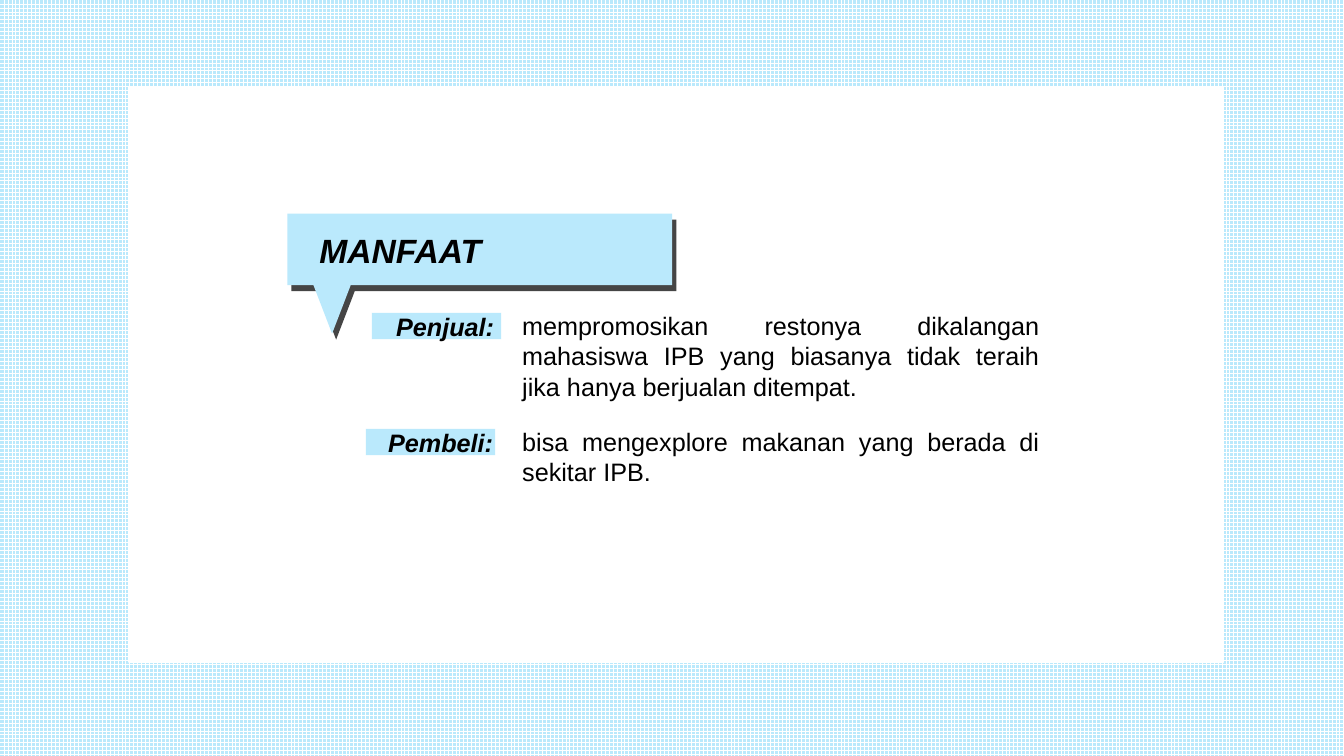
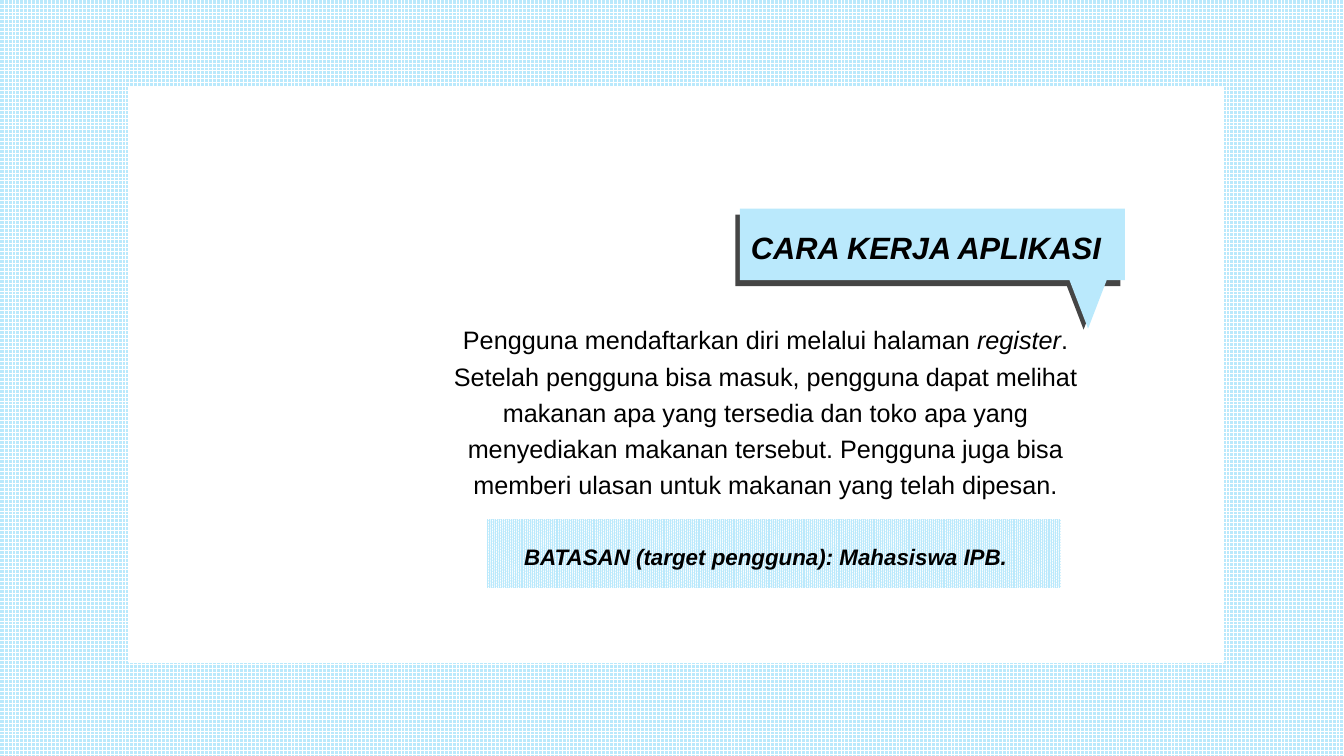
from lxml import etree
from pptx import Presentation
from pptx.dml.color import RGBColor
from pptx.enum import dml, shapes, text
from pptx.oxml import ns
from pptx.util import Pt

SKY = RGBColor(0xBA, 0xE9, 0xFC)
WHITE = RGBColor(0xFF, 0xFF, 0xFF)
CHARCOAL = RGBColor(0x45, 0x45, 0x45)
BLACK = RGBColor(0, 0, 0)
FONT = "Arial"
RECT = shapes.MSO_SHAPE.RECTANGLE
TRIANGLE = shapes.MSO_SHAPE.ISOSCELES_TRIANGLE
ALIGN = text.PP_ALIGN
ANCHOR = text.MSO_ANCHOR

BANNER_SIZE = (275, 51.1)
TAIL_SIZE = (26.6, 34.6)
SHADOW_DROP = 4.3


def set_pattern(fill, pattern, fore, back):
    fill.patterned()
    fill.pattern = pattern
    fill.fore_color.rgb = fore
    fill.back_color.rgb = back


class Deck:
    """Holds the shared style and the slide being built."""

    def __init__(self):
        self.prs = Presentation()
        self.prs.slide_width, self.prs.slide_height = Pt(960), Pt(540)
        set_pattern(self.prs.slide_master.background.fill,
                    dml.MSO_PATTERN.LARGE_GRID, WHITE, SKY)
        self.slide = None

    def new_slide(self, layout_index):
        self.slide = self.prs.slides.add_slide(self.prs.slide_layouts[layout_index])
        panel = self.block(self.slide.shapes, RECT, (92, 62, 782, 411), WHITE)
        panel.line.color.rgb = WHITE
        panel.line.width = Pt(1.25)

    def block(self, parent, preset, box, color):
        shape = parent.add_shape(preset, *map(Pt, box))
        shape.shadow.inherit = False
        shape.fill.solid()
        shape.fill.fore_color.rgb = color
        shape.line.fill.background()
        return shape

    def bubble(self, banner, tail, color):
        """Group a banner and its downward tail, given their top left corners."""
        parts = self.slide.shapes.add_group_shape().shapes
        self.block(parts, RECT, (*banner, *BANNER_SIZE), color)
        self.block(parts, TRIANGLE, (*tail, *TAIL_SIZE), color).rotation = 180

    def callout(self, left, top, tail_shift, shadow_shift, tail_drop=SHADOW_DROP):
        tail_left, tail_top = left + tail_shift, top + BANNER_SIZE[1]
        self.bubble((left + shadow_shift, top + SHADOW_DROP),
                    (tail_left + shadow_shift, tail_top + tail_drop), CHARCOAL)
        self.bubble((left, top), (tail_left, tail_top), SKY)

    def set_text(self, shape, runs, size, align=ALIGN.LEFT, anchor=ANCHOR.TOP,
                 bold=False, spacing=1, before=0, insets=(7.2, 3.6, 7.2, 3.6)):
        """Fill a shape with one paragraph of (wording, italic) runs."""
        frame = shape.text_frame
        frame.word_wrap = True
        frame.auto_size = text.MSO_AUTO_SIZE.NONE
        frame.vertical_anchor = anchor
        (frame.margin_left, frame.margin_top,
         frame.margin_right, frame.margin_bottom) = map(Pt, insets)
        paragraph = frame.paragraphs[0]
        paragraph.alignment = align
        paragraph.line_spacing = spacing
        paragraph.space_before = Pt(before)
        for wording, italic in runs:
            run = paragraph.add_run()
            run.text = wording
            font = run.font
            font.name, font.size = FONT, Pt(size)
            font.bold, font.italic = bold, italic
            font.color.rgb = BLACK
        return paragraph

    def place(self, placeholder, box):
        """Position a placeholder and bring it in front of the panel."""
        (placeholder.left, placeholder.top,
         placeholder.width, placeholder.height) = map(Pt, box)
        self.slide.shapes.element.append(placeholder.element)
        return placeholder

    def title(self, wording, box, size):
        self.set_text(self.place(self.slide.shapes.title, box),
                      [(wording, True)], size, bold=True)

    def body(self, index, runs, box, **style):
        placeholder = self.place(self.slide.placeholders[index], box)
        paragraph = self.set_text(placeholder, runs, 18, **style)
        properties = paragraph._p.get_or_add_pPr()
        properties.set("marL", "0")
        properties.set("indent", "0")
        etree.SubElement(properties, ns.qn("a:buNone"))

    def label(self, wording, left, top, indent):
        tag = self.block(self.slide.shapes, RECT, (left, top, 92.2, 18.7), SKY)
        self.set_text(tag, [(wording, True)], 18, anchor=ANCHOR.MIDDLE, bold=True,
                      insets=(indent, 0, 0, 0))

    def note_bar(self, wording, box):
        bar = self.block(self.slide.shapes, RECT, box, SKY)
        set_pattern(bar.fill, dml.MSO_PATTERN.PERCENT_90, SKY, WHITE)
        bar.line.color.rgb = WHITE
        bar.line.width = Pt(2)
        self.set_text(bar, [(wording, True)], 16, anchor=ANCHOR.MIDDLE, bold=True,
                      spacing=1.2, before=10, insets=(27.4, 3.6, 7.2, 3.6))


def build_benefits(deck):
    deck.new_slide(3)
    deck.callout(205.2, 152.6, tail_shift=18.7, shadow_shift=2.9)
    deck.title("MANFAAT", (221, 160.6, 242.6, 36), 24)
    benefits = [
        ("Penjual:", 265.7, 17.3, 218.2, 72.7,
         "mempromosikan restonya dikalangan mahasiswa IPB yang biasanya "
         "tidak teraih jika hanya berjualan ditempat."),
        ("Pembeli:", 261.4, 15.8, 301, 51.1,
         "bisa mengexplore makanan yang berada di sekitar IPB."),
    ]
    for index, (who, left, indent, top, height, benefit) in enumerate(benefits, 1):
        deck.body(index, [(benefit, False)], (365.8, top, 383.8, height),
                  align=ALIGN.JUSTIFY)
        deck.label(who, left, top + 5.4, indent)


def build_workflow(deck):
    deck.new_slide(1)
    deck.callout(528.5, 149, tail_shift=235.4, shadow_shift=-3.2, tail_drop=0.7)
    deck.title("CARA KERJA APLIKASI", (529.2, 159.8, 277.2, 33.8), 22)
    deck.body(1, [
        ("Pengguna mendaftarkan diri melalui halaman ", False),
        ("register", True),
        (". Setelah pengguna bisa masuk, pengguna dapat melihat makanan apa "
         "yang tersedia dan toko apa yang menyediakan makanan tersebut. "
         "Pengguna juga bisa memberi ulasan untuk makanan yang telah dipesan.", False),
    ], (299.5, 223.9, 494.6, 203.8), align=ALIGN.CENTER, spacing=1.2, before=10)
    deck.note_bar("BATASAN (target pengguna): Mahasiswa IPB.", (347, 370, 411.8, 51.1))


def main():
    deck = Deck()
    build_benefits(deck)
    build_workflow(deck)
    deck.prs.save("out.pptx")


if __name__ == "__main__":
    main()
